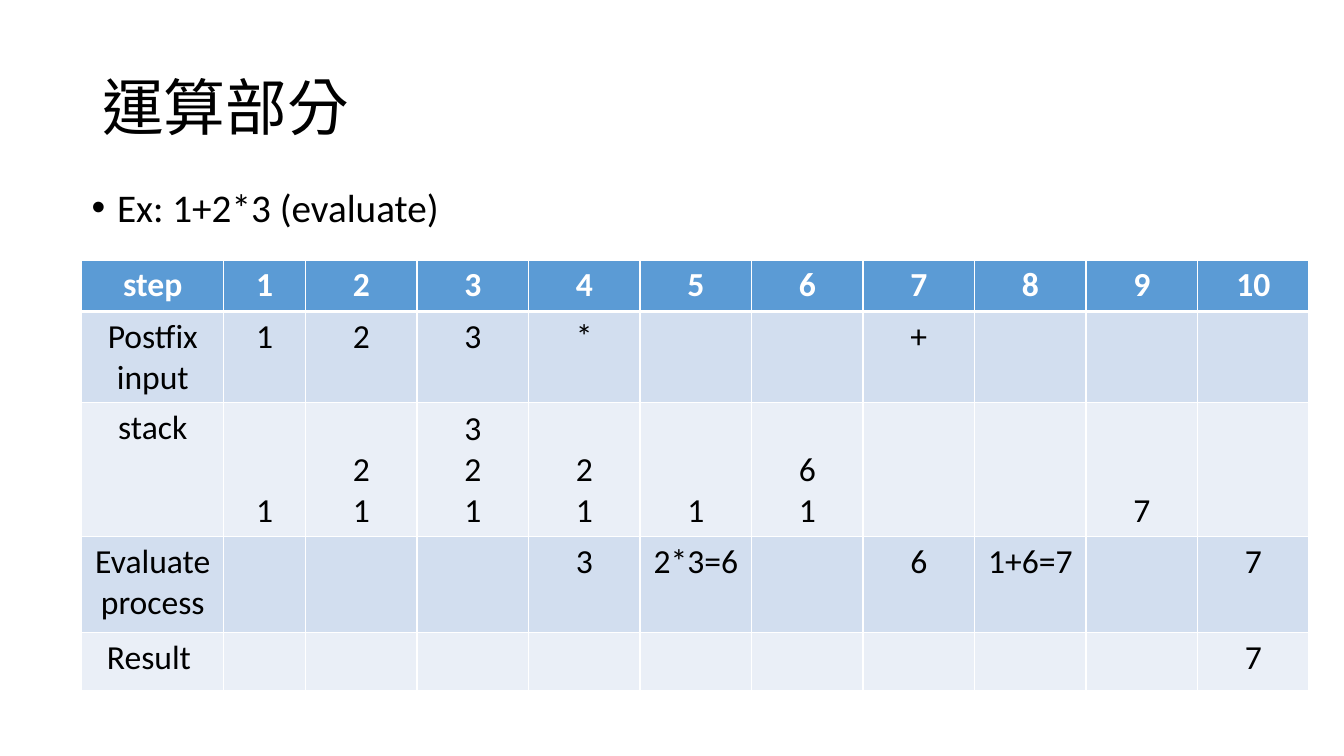
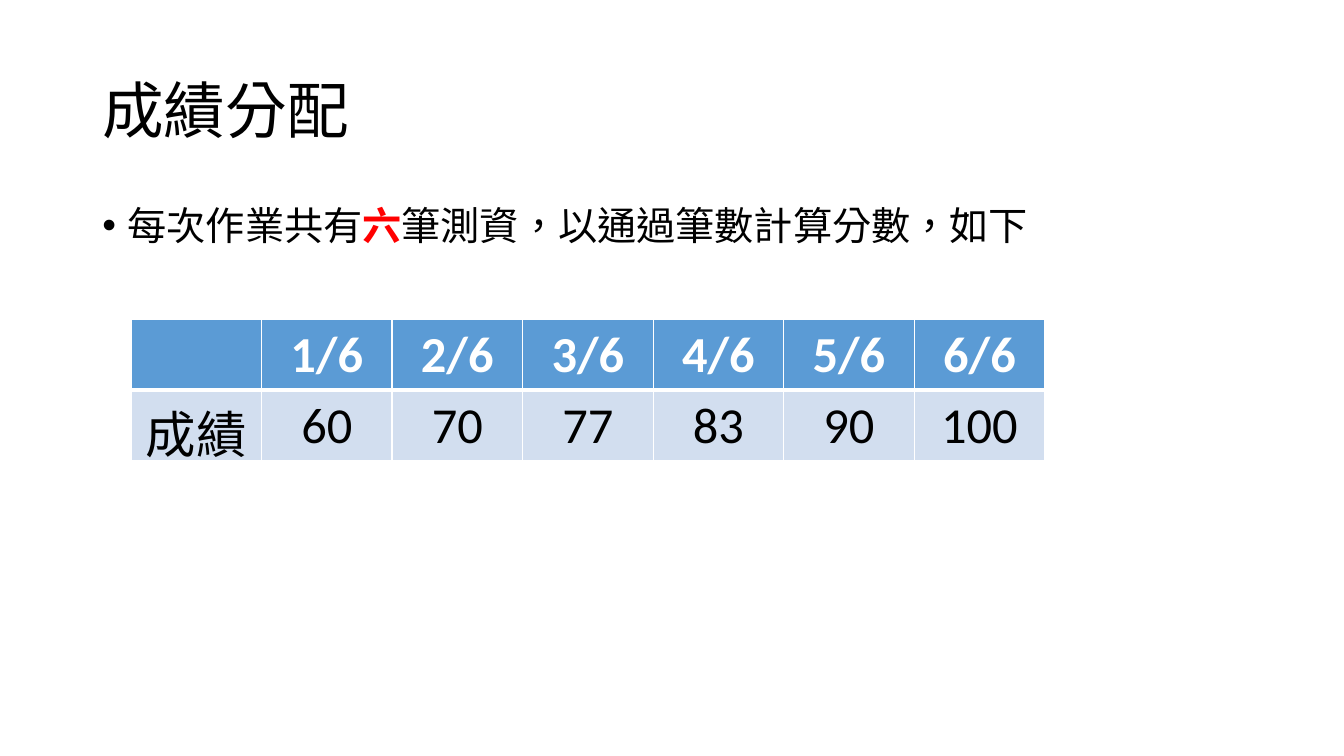
from dataclasses import dataclass

from lxml.etree import SubElement
from pptx import Presentation
from pptx.dml.color import RGBColor as Rgb
from pptx.enum.lang import MSO_LANGUAGE_ID as Lang
from pptx.enum.text import MSO_ANCHOR as Anchor, PP_ALIGN as Align
from pptx.oxml.ns import qn
from pptx.util import Cm, Pt


@dataclass(frozen=True)
class Theme:
    """Colours, font and type sizes shared by the slides."""
    ink: str = "000000"
    paper: str = "FFFFFF"
    accent: str = "FF0000"
    header: str = "5B9BD5"
    bands: tuple = ("D2DEEF", "EAEFF7")
    font: str = "Calibri"
    title: int = 44
    body: int = 28
    rule: int = 1
    header_rule: int = 3


theme = Theme()


def write(paragraph, text, size, color, bold=False):
    """Append a formatted run to a paragraph."""
    run = paragraph.add_run()
    run.text = text
    look = {"name": theme.font, "size": Pt(size), "bold": bold,
            "language_id": Lang.TRADITIONAL_CHINESE}
    for name, value in look.items():
        setattr(run.font, name, value)
    run.font.color.rgb = Rgb.from_string(color)


def draw_borders(cell, widths):
    """Give a cell solid borders; widths maps L, R, T, B to points."""
    properties = cell._tc.get_or_add_tcPr()
    for side, width in widths.items():
        line = SubElement(properties, qn(f"a:ln{side}"), w=str(Pt(width)))
        fill = SubElement(line, qn("a:solidFill"))
        SubElement(fill, qn("a:srgbClr"), val=theme.paper)


# A cell given as a tuple is a stack that stands on the bottom of its cell.
evaluation = [
    ["step", *map(str, range(1, 11))],
    ["Postfix input", "1", "2", "3", "*", "", "", "+", "", "", ""],
    ["stack", ("1",), ("2", "1"), ("3", "2", "1"), ("2", "1"), ("1",),
     ("6", "1"), "", "", ("7",), ""],
    ["Evaluate process", "", "", "", "3", "2*3=6", "", "6", "1+6=7", "", "7"],
    ["Result ", *[""] * 9, "7"],
]
grades = [
    ["", *(f"{passed}/6" for passed in range(1, 7))],
    ["成績", "60", "70", "77", "83", "90", "100"],
]

# Positions and sizes are in centimetres; body runs are (text, highlighted).
pages = [
    {"title": "運算部分", "title_at": (2.33, 0.95),
     "body": [("Ex: 1+2*3 (evaluate)", False)], "body_at": (2.06, 4.62),
     "rows": evaluation, "table_at": (2.06, 6.55), "cell_size": 24,
     "widths": [3.58, 2.06] + [2.81] * 9,
     "heights": [1.3, 2.3, 3.38, 2.41, 1.47]},
    {"title": "成績分配", "title_at": (2.33, 1.02),
     "body": [("每次作業共有", False), ("六", True),
              ("筆測資，以通過筆數計算分數，如下", False)],
     "body_at": (2.33, 5.08),
     "rows": grades, "table_at": (3.3, 8.05), "cell_size": 36,
     "widths": [3.29] * 7, "heights": [1.78] * 2},
]

deck = Presentation()
deck.slide_width, deck.slide_height = Cm(33.87), Cm(19.05)

for page in pages:
    slide = deck.slides.add_slide(deck.slide_layouts[6])

    # Title and bullet
    paragraphs = {}
    for part, height, anchor in (("title", 3.68, Anchor.MIDDLE),
                                 ("body", 12.09, Anchor.TOP)):
        left, top = page[f"{part}_at"]
        frame = slide.shapes.add_textbox(
            Cm(left), Cm(top), Cm(29.21), Cm(height)).text_frame
        frame.word_wrap = True
        frame.vertical_anchor = anchor
        paragraphs[part] = frame.paragraphs[0]
        paragraphs[part].line_spacing = 0.9
    write(paragraphs["title"], page["title"], theme.title, theme.ink)

    bullet = paragraphs["body"]
    bullet.space_before = Pt(10)
    indents = bullet._p.get_or_add_pPr()
    for name, value in {"marL": Cm(0.64), "indent": -Cm(0.64)}.items():
        indents.set(name, str(value))
    SubElement(indents, qn("a:buFont"), typeface="Arial")
    SubElement(indents, qn("a:buChar"), char="•")
    for text, highlighted in page["body"]:
        write(bullet, text, theme.body,
              theme.accent if highlighted else theme.ink, highlighted)

    # Table
    rows, widths, heights = page["rows"], page["widths"], page["heights"]
    left, top = page["table_at"]
    table = slide.shapes.add_table(
        len(rows), len(widths), Cm(left), Cm(top),
        Cm(sum(widths)), Cm(sum(heights))).table
    for column, width in zip(table.columns, widths):
        column.width = Cm(width)
    for row, height in zip(table.rows, heights):
        row.height = Cm(height)

    for r, row in enumerate(rows):
        is_header = r == 0
        band = theme.header if is_header else theme.bands[(r - 1) % 2]
        borders = {"L": theme.rule, "R": theme.rule,
                   "T": theme.header_rule if r == 1 else theme.rule,
                   "B": theme.header_rule if is_header else theme.rule}
        for c, content in enumerate(row):
            cell = table.cell(r, c)
            draw_borders(cell, borders)
            cell.fill.solid()
            cell.fill.fore_color.rgb = Rgb.from_string(band)
            stacked = isinstance(content, tuple)
            cell.vertical_anchor = Anchor.BOTTOM if stacked else Anchor.TOP
            frame = cell.text_frame
            for i, text in enumerate(content if stacked else (content,)):
                line = frame.add_paragraph() if i else frame.paragraphs[0]
                line.alignment = Align.CENTER
                if text:
                    write(line, text, page["cell_size"],
                          theme.paper if is_header else theme.ink, is_header)

deck.save("out.pptx")
